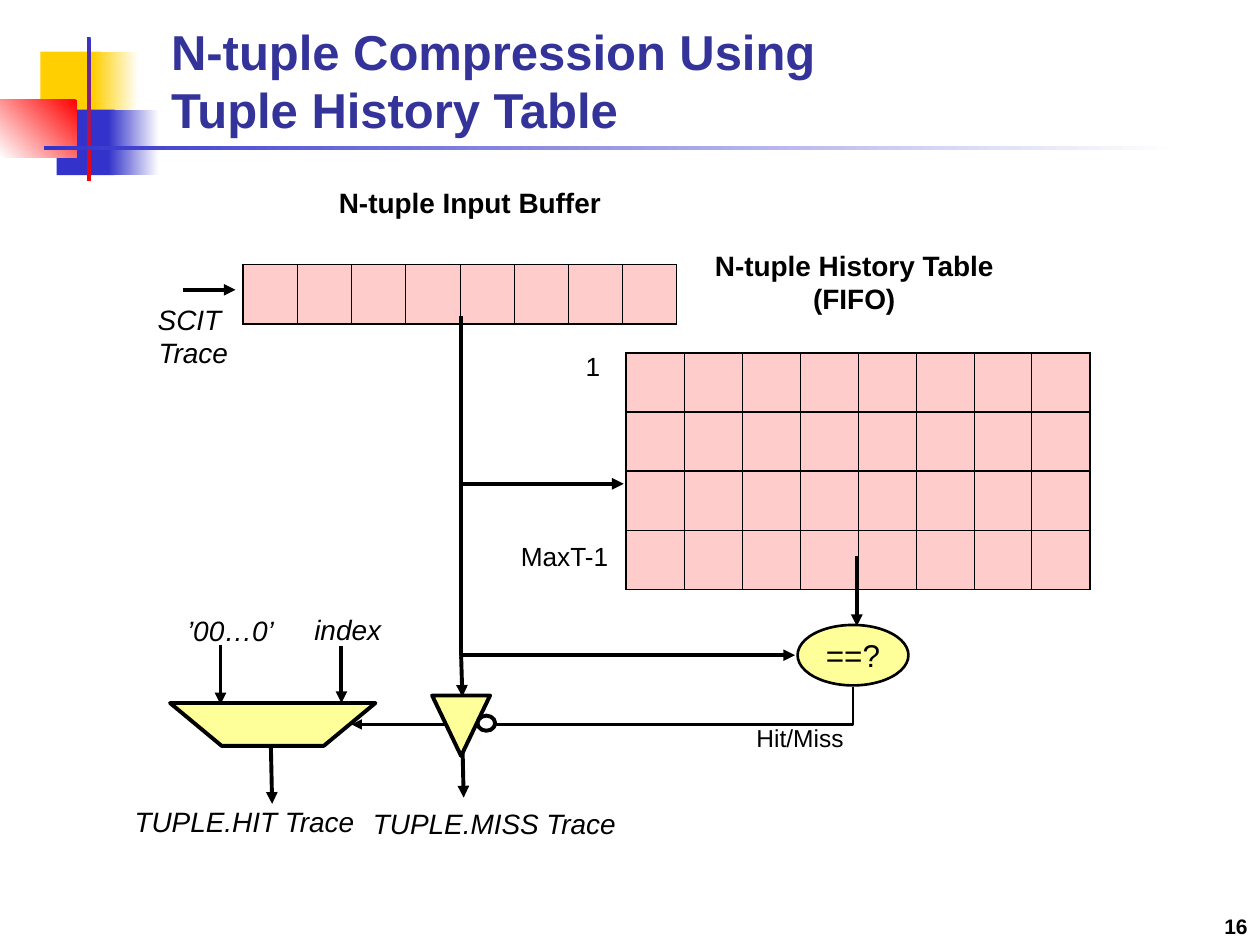
from lxml.etree import SubElement
from pptx import Presentation
from pptx.dml.color import RGBColor as RGB
from pptx.enum.shapes import MSO_CONNECTOR as Link, MSO_SHAPE as Kind
from pptx.enum.text import MSO_ANCHOR as Anchor, PP_ALIGN as Align
from pptx.oxml.ns import qn
from pptx.util import Inches, Pt

COLORS = {
    "black": "000000", "white": "FFFFFF", "title": "333399", "gold": "FFCF01",
    "blue": "3333CC", "red": "FF0000", "pink": "FFCCCC", "yellow": "FFFF99",
}


def rgb(name):
    return RGB.from_string(COLORS[name])


def paint(shape, fill, width=None):
    """Give a shape a plain fill and a black outline, or none without a width."""
    shape.shadow.inherit = False
    shape.fill.solid()
    shape.fill.fore_color.rgb = rgb(fill)
    if width:
        shape.line.color.rgb = rgb("black")
        shape.line.width = Pt(width)
    else:
        shape.line.fill.background()


def add_form(slide, kind, box, fill, width=None):
    shape = slide.shapes.add_shape(kind, *map(Inches, box))
    paint(shape, fill, width)
    return shape


def add_fade(slide, box, first, last, angle=0):
    shape = add_form(slide, Kind.RECTANGLE, box, first)
    shape.fill.gradient()
    shape.fill.gradient_angle = angle
    for stop, name in zip(shape.fill.gradient_stops, (first, last)):
        stop.color.rgb = rgb(name)


def write(frame, text, size, align=Align.CENTER, color="black",
          bold=False, italic=False):
    para = frame.paragraphs[0]
    para.alignment = align
    for i, line in enumerate(text.split("\n")):
        if i:
            para.add_line_break()
        run = para.add_run()
        run.text = line
        font = run.font
        font.name, font.size = "Arial", Pt(size)
        font.bold, font.italic = bold, italic
        font.color.rgb = rgb(color)


def add_text(slide, box, text, size, anchor=Anchor.TOP, **style):
    frame = slide.shapes.add_textbox(*map(Inches, box)).text_frame
    frame.word_wrap = True
    frame.vertical_anchor = anchor
    write(frame, text, size, **style)


def finish(link, width):
    """Style a connector and put an arrowhead at its end."""
    link.line.color.rgb = rgb("black")
    link.line.width = Pt(width)
    SubElement(link.line._get_or_add_ln(), qn("a:tailEnd"), type="triangle")
    SubElement(link._element.spPr, qn("a:effectLst"))


def add_arrow(slide, *ends):
    link = slide.shapes.add_connector(Link.STRAIGHT, *map(Inches, ends))
    finish(link, 2.25)


def add_bend(slide, x1, y1, x2, y2, width):
    """Draw an arrow that goes down first and then across."""
    w, h = y2 - y1, abs(x2 - x1)
    left, top = (x1 + x2 - w) / 2, (y1 + y2 - h) / 2
    ends = map(Inches, (left, top, left + w, top + h))
    link = slide.shapes.add_connector(Link.ELBOW, *ends)
    props = link._element.spPr
    props.find(qn("a:prstGeom")).set("prst", "bentConnector2")
    turn = props.find(qn("a:xfrm"))
    turn.set("rot", str((270 if x2 > x1 else 90) * 60000))
    if x2 > x1:
        turn.set("flipH", "1")
    finish(link, width)


def add_border(cell, side, width):
    line = SubElement(cell._tc.get_or_add_tcPr(), qn("a:ln" + side),
                      w=str(Pt(width)))
    fill = SubElement(line, qn("a:solidFill"))
    SubElement(fill, qn("a:srgbClr"), val=COLORS["black"])


def add_grid(slide, left, top, rows, width):
    cols, height = 8, 0.47
    size = map(Inches, (left, top, cols * width, rows * height))
    table = slide.shapes.add_table(rows, cols, *size).table
    table.first_row = table.horz_banding = False
    for row in table.rows:
        row.height = Inches(height)
        for i, cell in enumerate(row.cells):
            add_border(cell, "L", 0.45 if i else 1.08)
            add_border(cell, "R", 0.45 if i < cols - 1 else 1.08)
            add_border(cell, "T", 1.08)
            add_border(cell, "B", 1.08)
            cell.fill.solid()
            cell.fill.fore_color.rgb = rgb("pink")


def add_mux(slide):
    points = [(Inches(x), Inches(y)) for x, y in
              ((1.35, 5.58), (2.98, 5.58), (2.57, 5.92), (1.76, 5.92))]
    path = slide.shapes.build_freeform(*points[0], scale=1.0)
    path.add_line_segments(points[1:], close=True)
    paint(path.convert_to_shape(), "yellow", 2.25)


def add_decor(slide):
    add_form(slide, Kind.RECTANGLE, (0.32, 0.41, 0.48, 0.52), "gold")
    add_fade(slide, (0.74, 0.41, 0.36, 0.52), "gold", "white")
    add_form(slide, Kind.RECTANGLE, (0.45, 0.87, 0.46, 0.52), "blue")
    add_fade(slide, (0.86, 0.87, 0.4, 0.52), "blue", "white")
    add_fade(slide, (0, 0.79, 0.61, 0.46), "red", "white", 225)
    add_fade(slide, (0.69, 0.29, 0.03, 1.15), "blue", "red", 270)
    add_fade(slide, (0.35, 1.16, 9, 0.03), "blue", "white")


def add_labels(slide):
    for box, text in (
        ((2.4, 1.42, 2.66, 0.37), "N-tuple Input Buffer"),
        ((5.39, 1.92, 2.78, 0.64), "N-tuple History Table\n(FIFO)"),
    ):
        add_text(slide, box, text, 16, bold=True)
    for box, text in (
        ((1.07, 2.35, 0.93, 0.64), "SCIT \nTrace"),
        ((1.3, 4.82, 1.06, 0.37), "’00…0’"),
        ((2.33, 4.81, 0.86, 0.37), "index"),
        ((0.95, 6.34, 1.98, 0.37), "TUPLE.HIT Trace"),
        ((2.76, 6.35, 2.33, 0.37), "TUPLE.MISS Trace"),
    ):
        add_text(slide, box, text, 16, italic=True)
    add_text(slide, (4.55, 2.73, 0.28, 0.35), "1", 15)
    add_text(slide, (3.99, 4.24, 0.98, 0.35), "MaxT-1", 15)
    add_text(slide, (5.87, 5.69, 0.96, 0.34), "Hit/Miss", 14)


def add_flow(slide):
    test = add_form(slide, Kind.OVAL, (6.33, 4.96, 0.88, 0.48), "yellow", 1.5)
    test.text_frame.word_wrap = False
    test.text_frame.vertical_anchor = Anchor.MIDDLE
    write(test.text_frame, "==?", 18)

    add_bend(slide, 3.66, 2.51, 6.31, 5.2, 2.25)
    add_bend(slide, 6.77, 5.45, 2.79, 5.75, 1.5)
    add_mux(slide)
    for ends in (
        (1.45, 2.3, 1.87, 2.3),
        (3.67, 3.84, 4.95, 3.84),
        (6.8, 4.41, 6.8, 4.97),
        (1.75, 5.12, 1.75, 5.59),
        (2.71, 5.13, 2.71, 5.58),
        (3.66, 5.21, 3.67, 5.53),
        (3.67, 5.88, 3.68, 6.33),
        (2.15, 5.93, 2.16, 6.38),
    ):
        add_arrow(slide, *ends)
    gate = add_form(slide, Kind.ISOSCELES_TRIANGLE, (3.43, 5.52, 0.46, 0.48),
                    "yellow", 2.25)
    gate._element.spPr.find(qn("a:xfrm")).set("flipV", "1")
    add_form(slide, Kind.OVAL, (3.79, 5.68, 0.14, 0.12), "white", 2.25)


def main():
    deck = Presentation()
    deck.slide_width, deck.slide_height = Inches(10), Inches(7.5)
    slide = deck.slides.add_slide(deck.slide_layouts[6])
    add_decor(slide)
    add_text(slide, (1.26, 0.17, 8.52, 0.98),
             "N-tuple Compression Using \nTuple History Table", 28,
             Anchor.BOTTOM, align=Align.LEFT, color="title", bold=True)
    add_grid(slide, 1.93, 2.1, 1, 0.43)
    add_grid(slide, 4.97, 2.8, 4, 0.46)
    add_flow(slide)
    add_labels(slide)
    add_text(slide, (7.92, 7, 2.08, 0.5), "16", 12, Anchor.BOTTOM,
             align=Align.RIGHT, bold=True)
    deck.save("out.pptx")


if __name__ == "__main__":
    main()
